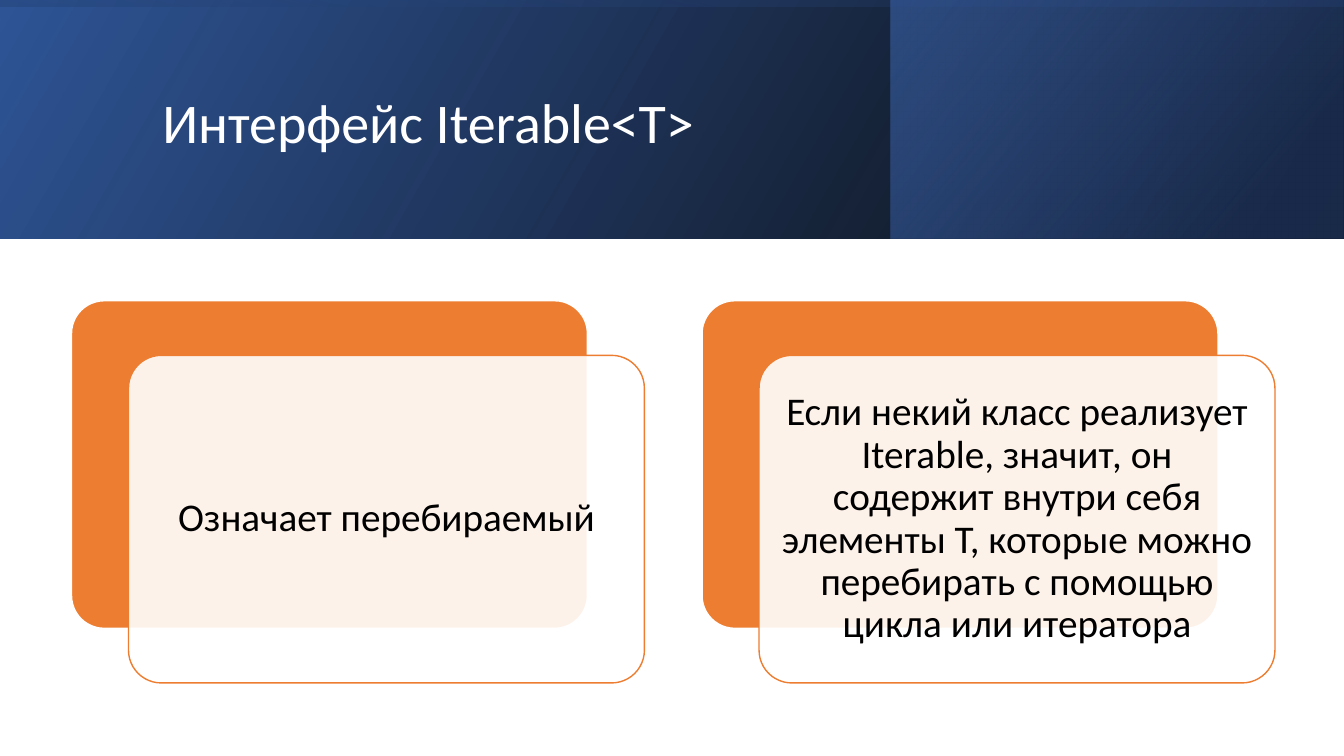
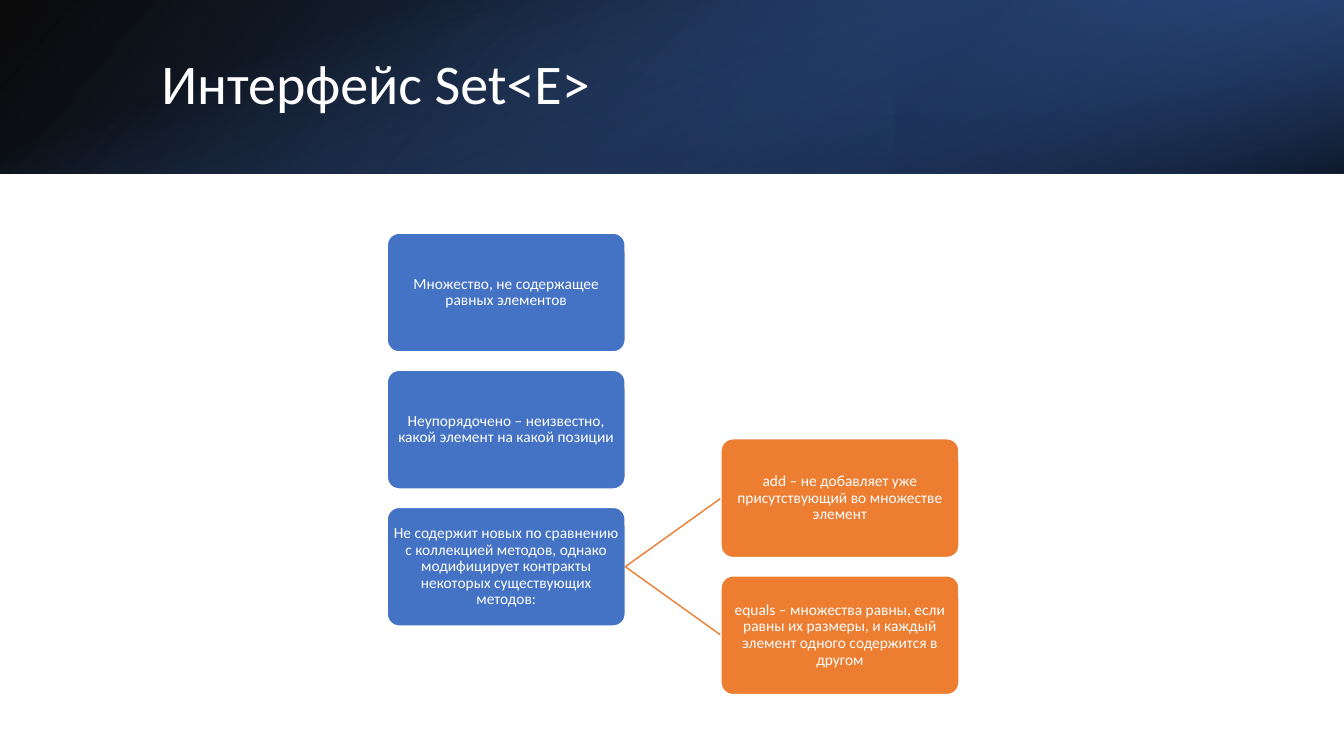
from dataclasses import dataclass

from lxml import etree
from pptx import Presentation
from pptx import util as u
from pptx.dml.color import RGBColor
from pptx.enum import shapes, text
from pptx.oxml.ns import qn

FONT = "Calibri"
BLACK, WHITE = "000000", "FFFFFF"
NAVY, DEEP = "203864", "2F5597"
BLUE, ORANGE = "4472C4", "ED7D31"
WIDE, HIGH = 960, 540
ROUND = shapes.MSO_SHAPE.ROUNDED_RECTANGLE
RECT = shapes.MSO_SHAPE.RECTANGLE


@dataclass(frozen=True)
class Box:
    x: float
    y: float
    w: float
    h: float

    def pts(self) -> list:
        return [u.Pt(v) for v in (self.x, self.y, self.w, self.h)]


@dataclass(frozen=True)
class Stop:
    pos: int
    tint: str
    alpha: int


@dataclass(frozen=True)
class Band:
    box: Box
    stops: tuple
    angle: int
    turn: int = 0
    flip: bool = True


def color(tint: str) -> RGBColor:
    return RGBColor.from_string(tint)


def fade(node, alpha: int) -> None:
    """Set the opacity, in percent, of a colour element."""
    etree.SubElement(node, qn("a:alpha")).set("val", str(alpha * 1000))


def write(shape, words: str, size: float, tint: str, align=text.PP_ALIGN.CENTER,
          inset: float | None = None) -> None:
    frame = shape.text_frame
    frame.text = words
    frame.word_wrap = True
    frame.auto_size = text.MSO_AUTO_SIZE.NONE
    frame.vertical_anchor = text.MSO_ANCHOR.MIDDLE
    if inset is not None:
        frame.margin_left = frame.margin_right = u.Pt(inset)
        frame.margin_top = frame.margin_bottom = u.Pt(inset)
    para = frame.paragraphs[0]
    para.alignment = align
    para.line_spacing = 0.9
    font = para.runs[0].font
    font.name, font.size = FONT, u.Pt(size)
    font.color.rgb = color(tint)


def draw_band(slide, band: Band) -> None:
    shape = slide.shapes.add_shape(RECT, *band.box.pts())
    shape.shadow.inherit = False
    shape.rotation = band.turn
    shape.line.fill.background()
    shape.fill.background()
    props = shape.element.spPr
    if band.flip:
        props.find(qn("a:xfrm")).set("flipH", "1")
    grad = etree.Element(qn("a:gradFill"), rotWithShape="1")
    stops = etree.SubElement(grad, qn("a:gsLst"))
    for stop in band.stops:
        mark = etree.SubElement(stops, qn("a:gs"), pos=str(stop.pos * 1000))
        fade(etree.SubElement(mark, qn("a:srgbClr"), val=stop.tint), stop.alpha)
    etree.SubElement(grad, qn("a:lin"), ang=str(band.angle * 60000), scaled="0")
    props.replace(props.find(qn("a:noFill")), grad)


def upright(high: float) -> Box:
    """Box that covers the header once it is turned by a quarter."""
    return Box((WIDE - high) / 2, (high - WIDE) / 2, high, WIDE)


def start(deck, title: str, spot: Box, bands: list[Band]):
    slide = deck.slides.add_slide(deck.slide_layouts[5])
    for band in bands:
        draw_band(slide, band)
    head = slide.shapes.title
    head.left, head.top, head.width, head.height = spot.pts()
    write(head, title, 40, WHITE, text.PP_ALIGN.LEFT)
    head.element.getparent().append(head.element)
    return slide


def panel(slide, box: Box, fill: str, line: str):
    shape = slide.shapes.add_shape(ROUND, *box.pts())
    shape.shadow.inherit = False
    shape.adjustments[0] = 0.1
    shape.fill.solid()
    shape.fill.fore_color.rgb = color(fill)
    shape.line.color.rgb = color(line)
    shape.line.width = u.Pt(1)
    return shape


def card(slide, box: Box, words: str) -> None:
    """Draw a solid panel with a translucent text panel shifted over it."""
    panel(slide, box, ORANGE, WHITE)
    front = panel(slide, Box(box.x + 40.7, box.y + 39, box.w, box.h), WHITE, ORANGE)
    fade(front.element.spPr.find(qn("a:solidFill"))[0], 90)
    write(front, words, 28, BLACK, inset=8.7)


def node(slide, box: Box, words: str, fill: str) -> None:
    write(panel(slide, box, fill, WHITE), words, 11, WHITE, inset=0.7)


def link(slide, src: Box, dst: Box) -> None:
    ends = (src.x + src.w, src.y + src.h / 2, dst.x, dst.y + dst.h / 2)
    line = slide.shapes.add_connector(
        shapes.MSO_CONNECTOR.STRAIGHT, *[u.Pt(v) for v in ends])
    line.line.color.rgb = color(ORANGE)
    line.line.width = u.Pt(1)
    etree.SubElement(line.element.spPr, qn("a:effectLst"))


def iterable(deck) -> None:
    high = 170.6
    slide = start(deck, "Интерфейс Iterable<T>", Box(108.7, 27.4, 765.4, 123.8), [
        Band(Box(0, 0, WIDE, high), (Stop(0, BLACK, 96), Stop(100, DEEP, 100)), 330),
        Band(Box(636.5, 0, 323, high), (Stop(19, NAVY, 68), Stop(100, BLUE, 48)), 320),
        Band(upright(high), (Stop(23, DEEP, 16), Stop(99, BLACK, 45)), 350, 270),
    ])
    cards = (
        "Означает перебираемый",
        "Если некий класс реализует Iterable, значит, он содержит внутри себя "
        "элементы T, которые можно перебирать с помощью цикла или итератора",
    )
    for i, words in enumerate(cards):
        card(slide, Box(51.1 + i * 450.4, 214.8, 368.5, 234), words)


def sets(deck) -> None:
    high = 123.8
    slide = start(deck, "Интерфейс Set<E>", Box(108, 27.4, 790.6, 69), [
        Band(Box(0, 0, WIDE, high), (Stop(0, BLACK, 96), Stop(100, DEEP, 100)), 140),
        Band(Box(640, 0, 320, high), (Stop(19, NAVY, 68), Stop(100, BLUE, 79)), 320, 180),
        Band(upright(high), (Stop(23, BLUE, 0), Stop(99, BLACK, 74)), 340, 90, False),
    ])
    traits = (
        "Множество, не содержащее равных элементов",
        "Неупорядочено – неизвестно, какой элемент на какой позиции",
        "Не содержит новых по сравнению с коллекцией методов, однако "
        "модифицирует контракты некоторых существующих методов:",
    )
    rules = (
        "add – не добавляет уже присутствующий во множестве элемент",
        "equals – множества равны, если равны их размеры, и каждый элемент "
        "одного содержится в другом",
    )
    wide, tall, step = 170, 84.8, 97.9
    boxes = [Box(276.6, 166.6 + i * step, wide, tall) for i in range(len(traits))]
    for box, words in zip(boxes, traits):
        node(slide, box, words, BLUE)
    root = boxes[-1]
    for i, words in enumerate(rules):
        box = Box(515, root.y + (i - 0.5) * step, wide, tall)
        link(slide, root, box)
        node(slide, box, words, ORANGE)


def main() -> None:
    deck = Presentation()
    deck.slide_width, deck.slide_height = u.Pt(WIDE), u.Pt(HIGH)
    iterable(deck)
    sets(deck)
    deck.save("out.pptx")


if __name__ == "__main__":
    main()
